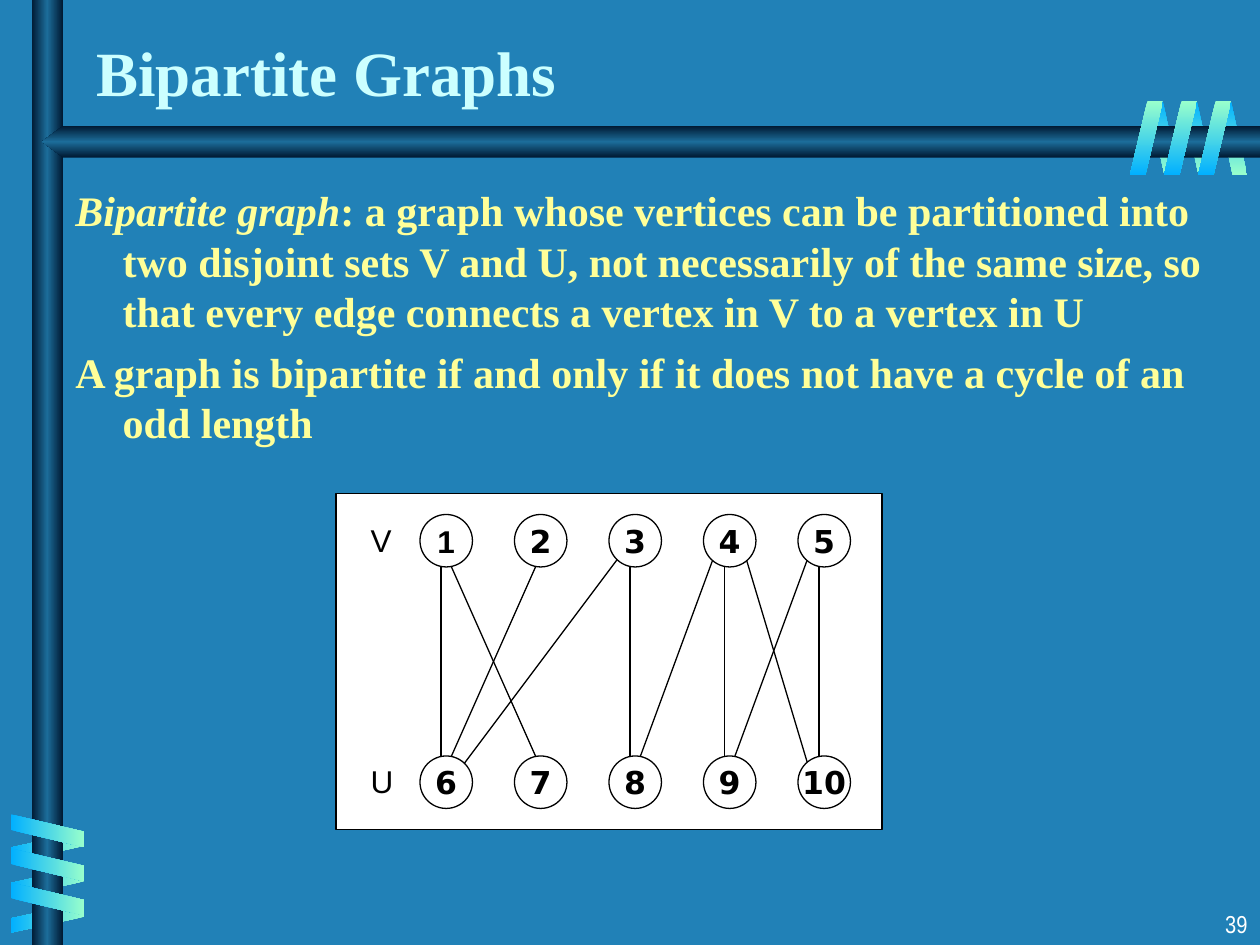
"""Build a slide that defines bipartite graphs and shows an example."""
from dataclasses import dataclass
from typing import Optional

import lxml.etree
import pptx
import pptx.dml.color
import pptx.enum.shapes
import pptx.enum.text
import pptx.oxml.ns
import pptx.util

EMU_PER_PX = 9525
SHAPES = pptx.enum.shapes.MSO_SHAPE
ALIGN = pptx.enum.text.PP_ALIGN
ANCHOR = pptx.enum.text.MSO_ANCHOR
qn = pptx.oxml.ns.qn


@dataclass(frozen=True)
class Theme:
    background: str = "2181B7"
    title: str = "CCFFFF"
    body: str = "FFFF99"
    ink: str = "000000"
    paper: str = "FFFFFF"
    bar: tuple = ("001932", "1C6D9A", "001932")
    ribbon: tuple = ("01B0FF", "99FFCC")
    serif: str = "Times New Roman"
    sans: str = "Arial"
    narrow: str = "Arial Narrow"
    node_font: str = "DejaVu Sans"
    title_size: int = 36
    body_size: int = 24
    label_size: int = 18
    number_size: int = 14
    line_width: float = 0.75


@dataclass(frozen=True)
class Box:
    left: int
    top: int
    width: int
    height: int


@dataclass(frozen=True)
class Style:
    font: str
    size: int
    color: str
    bold: bool = False
    align: Optional[ALIGN] = None
    anchor: ANCHOR = ANCHOR.TOP
    wrap: bool = True


@dataclass(frozen=True)
class Ribbon:
    first: Box
    step_x: int
    step_y: int
    rotation: int
    flipped: bool
    colors: tuple
    angle: int


@dataclass(frozen=True)
class Edge:
    upper: int
    upper_offset: int
    lower: int
    lower_offset: int


THEME = Theme()
NODE_LEFT, NODE_STEP, NODE_SIZE = 320, 72, 40
UPPER_TOP, LOWER_TOP = 392, 576
NODE_MIDDLE_OFFSETS = (16, 24)
SIDE_INSET = 8
EDGES = (
    Edge(1, 16, 6, 16), Edge(1, 24, 7, 16), Edge(3, 16, 8, 16),
    Edge(4, 16, 9, 16), Edge(5, 16, 10, 16), Edge(2, 16, 6, 24),
    Edge(3, 8, 6, 32), Edge(4, 8, 8, 24), Edge(5, 8, 9, 24),
    Edge(4, 32, 10, 8),
)
BACK_RIBBONS = (
    Ribbon(Box(927, 77, 23, 56), -26, 0, 180, True, THEME.ribbon, 90),
    Ribbon(Box(25, 617, 23, 56), 0, 27, 90, True, THEME.ribbon[::-1], 0),
)
FRONT_RIBBONS = (
    Ribbon(Box(24, 605, 25, 56), 0, 26, 270, False, THEME.ribbon, 0),
    Ribbon(Box(913, 77, 25, 56), -26, 0, 0, False, THEME.ribbon[::-1], 90),
)


def px(value: int) -> pptx.util.Emu:
    return pptx.util.Emu(value * EMU_PER_PX)


def rgb(value: str) -> pptx.dml.color.RGBColor:
    return pptx.dml.color.RGBColor.from_string(value)


def place(box: Box) -> tuple:
    return px(box.left), px(box.top), px(box.width), px(box.height)


def fill_gradient(shape, colors: tuple, angle: int) -> None:
    shape.shadow.inherit = False
    shape.line.fill.background()
    shape.fill.gradient()
    gradient = shape._element.spPr.find(qn("a:gradFill"))
    gradient.set("rotWithShape", "0")
    gradient.find(qn("a:lin")).set("ang", str(angle * 60000))
    stops = gradient.find(qn("a:gsLst"))
    for stop in list(stops):
        stops.remove(stop)
    for index, color in enumerate(colors):
        position = index * 100000 // (len(colors) - 1)
        stop = lxml.etree.SubElement(stops, qn("a:gs"), pos=str(position))
        lxml.etree.SubElement(stop, qn("a:srgbClr"), val=color)


def draw_ribbon(slide, ribbon: Ribbon) -> None:
    for index in range(3):
        box = Box(ribbon.first.left + index * ribbon.step_x,
                  ribbon.first.top + index * ribbon.step_y,
                  ribbon.first.width, ribbon.first.height)
        shape = slide.shapes.add_shape(SHAPES.PARALLELOGRAM, *place(box))
        shape.adjustments[0] = 0.53
        shape.rotation = ribbon.rotation
        if ribbon.flipped:
            shape._element.spPr.find(qn("a:xfrm")).set("flipH", "1")
        fill_gradient(shape, ribbon.colors, ribbon.angle)


def draw_bars(slide) -> None:
    upright = slide.shapes.add_shape(SHAPES.RECTANGLE, *place(Box(24, 0, 24, 720)))
    fill_gradient(upright, THEME.bar, 0)
    builder = slide.shapes.build_freeform(960, 96, scale=EMU_PER_PX)
    builder.add_line_segments([(48, 96), (32, 108), (48, 120), (960, 120)])
    fill_gradient(builder.convert_to_shape(), THEME.bar, 90)


def write(shape, text: str, style: Style) -> None:
    frame = shape.text_frame
    frame.word_wrap = style.wrap
    frame.vertical_anchor = style.anchor
    frame.text = text
    for paragraph in frame.paragraphs:
        paragraph.alignment = style.align
        for run in paragraph.runs:
            run.font.name = style.font
            run.font.size = pptx.util.Pt(style.size)
            run.font.bold = style.bold
            run.font.color.rgb = rgb(style.color)


def add_text(slide, box: Box, text: str, style: Style):
    shape = slide.shapes.add_textbox(*place(box))
    write(shape, text, style)
    return shape


def add_outlined(slide, kind: SHAPES, box: Box):
    shape = slide.shapes.add_shape(kind, *place(box))
    shape.shadow.inherit = False
    shape.fill.solid()
    shape.fill.fore_color.rgb = rgb(THEME.paper)
    shape.line.color.rgb = rgb(THEME.ink)
    shape.line.width = pptx.util.Pt(THEME.line_width)
    return shape


def node_left(number: int) -> int:
    return NODE_LEFT + (number - 1) % 5 * NODE_STEP


def draw_edge(slide, edge: Edge) -> None:
    upper_inset = 0 if edge.upper_offset in NODE_MIDDLE_OFFSETS else SIDE_INSET
    lower_inset = 0 if edge.lower_offset in NODE_MIDDLE_OFFSETS else SIDE_INSET
    if edge.upper_offset == edge.lower_offset:
        upper_inset = lower_inset = 0
    line = slide.shapes.add_connector(
        pptx.enum.shapes.MSO_CONNECTOR.STRAIGHT,
        px(node_left(edge.upper) + edge.upper_offset),
        px(UPPER_TOP + NODE_SIZE - upper_inset),
        px(node_left(edge.lower) + edge.lower_offset),
        px(LOWER_TOP + lower_inset))
    line.line.color.rgb = rgb(THEME.ink)
    line.line.width = pptx.util.Pt(THEME.line_width)
    lxml.etree.SubElement(line._element.spPr, qn("a:effectLst"))


def draw_node(slide, number: int) -> None:
    top = UPPER_TOP if number <= 5 else LOWER_TOP
    box = Box(node_left(number), top, NODE_SIZE, NODE_SIZE)
    font = THEME.sans if number == 1 else THEME.node_font
    write(add_outlined(slide, SHAPES.OVAL, box), str(number),
          Style(font, THEME.label_size, THEME.ink, True, ALIGN.CENTER, ANCHOR.MIDDLE, False))


def draw_graph(slide) -> None:
    add_outlined(slide, SHAPES.RECTANGLE, Box(256, 376, 416, 256))
    for edge in EDGES:
        draw_edge(slide, edge)
    for number in range(1, 11):
        draw_node(slide, number)
    label = Style(THEME.sans, THEME.label_size, THEME.ink, wrap=False)
    for text, top in (("V", UPPER_TOP), ("U", LOWER_TOP)):
        add_text(slide, Box(273, top, 36, 38), text, label)


def draw_definition(slide) -> None:
    term = "Bipartite graph"
    text = (term + ": a graph whose vertices can be partitioned into two disjoint sets V and U, "
            "not necessarily of the same size, so that every edge connects a vertex in V "
            "to a vertex in U\nA graph is bipartite if and only if it does not have "
            "a cycle of an odd length")
    style = Style(THEME.serif, THEME.body_size, THEME.body, True)
    shape = add_text(slide, Box(48, 136, 896, 238), text, style)
    first, second = shape.text_frame.paragraphs
    for paragraph in (first, second):
        properties = paragraph._p.get_or_add_pPr()
        properties.set("marL", str(px(36)))
        properties.set("indent", str(px(-36)))
    second.space_before = pptx.util.Pt(6)
    run = first.runs[0]
    rest = first.add_run()
    rest.text = run.text[len(term):]
    run.text = term
    rest.font.name, rest.font.size, rest.font.bold = style.font, run.font.size, True
    rest.font.color.rgb = rgb(style.color)
    run.font.italic = True


def main() -> None:
    presentation = pptx.Presentation()
    presentation.slide_width, presentation.slide_height = px(960), px(720)
    slide = presentation.slides.add_slide(presentation.slide_layouts[6])
    slide.background.fill.solid()
    slide.background.fill.fore_color.rgb = rgb(THEME.background)
    for ribbon in BACK_RIBBONS:
        draw_ribbon(slide, ribbon)
    draw_bars(slide)
    for ribbon in FRONT_RIBBONS:
        draw_ribbon(slide, ribbon)
    add_text(slide, Box(760, 688, 200, 32), "39",
             Style(THEME.narrow, THEME.number_size, THEME.paper, align=ALIGN.RIGHT))
    add_text(slide, Box(64, 16, 797, 72), "Bipartite Graphs",
             Style(THEME.serif, THEME.title_size, THEME.title, True, anchor=ANCHOR.BOTTOM))
    draw_graph(slide)
    draw_definition(slide)
    presentation.save("out.pptx")


if __name__ == "__main__":
    main()
